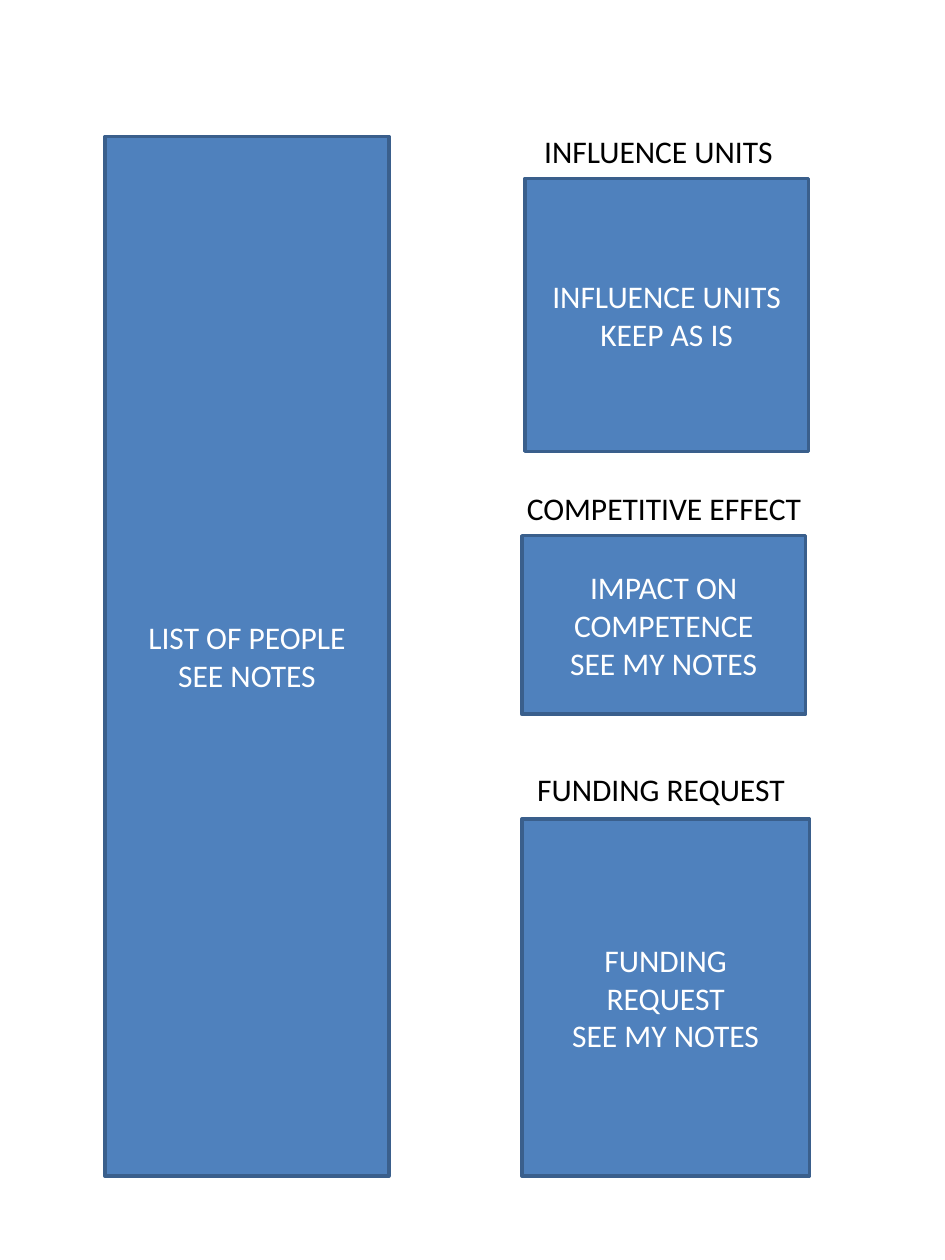
from pptx import Presentation
from pptx.dml.color import RGBColor
from pptx.enum.shapes import MSO_SHAPE
from pptx.enum.text import MSO_ANCHOR, PP_ALIGN
from pptx.util import Cm, Pt

RECTANGLE = MSO_SHAPE.RECTANGLE
MIDDLE, TOP = MSO_ANCHOR.MIDDLE, MSO_ANCHOR.TOP
CENTER, LEFT = PP_ALIGN.CENTER, PP_ALIGN.LEFT

BLUE = RGBColor(0x4F, 0x81, 0xBD)
DARK_BLUE = RGBColor(0x3A, 0x5F, 0x8C)
WHITE = RGBColor(0xFF, 0xFF, 0xFF)
BLACK = RGBColor(0, 0, 0)

# Content: lines of text, then left, top, width, height in cm
PANELS = [
    (["LIST OF PEOPLE", "SEE NOTES"], 2.12, 2.75, 5.72, 20.96),
    (["INFLUENCE UNITS", "KEEP AS IS"], 10.58, 3.6, 5.72, 5.5),
    (["IMPACT ON COMPETENCE", "SEE MY NOTES"], 10.52, 10.8, 5.72, 3.6),
    (["FUNDING", "REQUEST", "SEE MY NOTES"], 10.52, 16.51, 5.8, 7.2),
]
# Headings: text, left, top, width in cm
HEADINGS = [
    ("INFLUENCE UNITS", 10.72, 2.54, 5.16),
    ("COMPETITIVE EFFECT", 10.37, 9.74, 6.1),
    ("FUNDING REQUEST", 10.58, 15.39, 6.35),
]
HEADING_HEIGHT = 1.02


def write_text(shape, lines, color, align, anchor, wrap=True):
    frame = shape.text_frame
    frame.word_wrap = wrap
    frame.vertical_anchor = anchor
    frame.text = "\n".join(lines)
    for paragraph in frame.paragraphs:
        paragraph.alignment = align
        font = paragraph.runs[0].font
        font.name = "Calibri"
        font.size = Pt(18)
        font.color.rgb = color


presentation = Presentation()
presentation.slide_width = Cm(19.05)
presentation.slide_height = Cm(25.4)
slide = presentation.slides.add_slide(presentation.slide_layouts[6])

# Blue panels
for lines, *box in PANELS:
    panel = slide.shapes.add_shape(RECTANGLE, *map(Cm, box))
    panel.shadow.inherit = False
    panel.fill.solid()
    panel.fill.fore_color.rgb = BLUE
    panel.line.color.rgb = DARK_BLUE
    panel.line.width = Pt(2)
    write_text(panel, lines, WHITE, CENTER, MIDDLE)

# Headings above the right-hand panels
for text, *place in HEADINGS:
    heading = slide.shapes.add_textbox(*map(Cm, place), Cm(HEADING_HEIGHT))
    write_text(heading, [text], BLACK, LEFT, TOP, wrap=True)

presentation.save("out.pptx")
